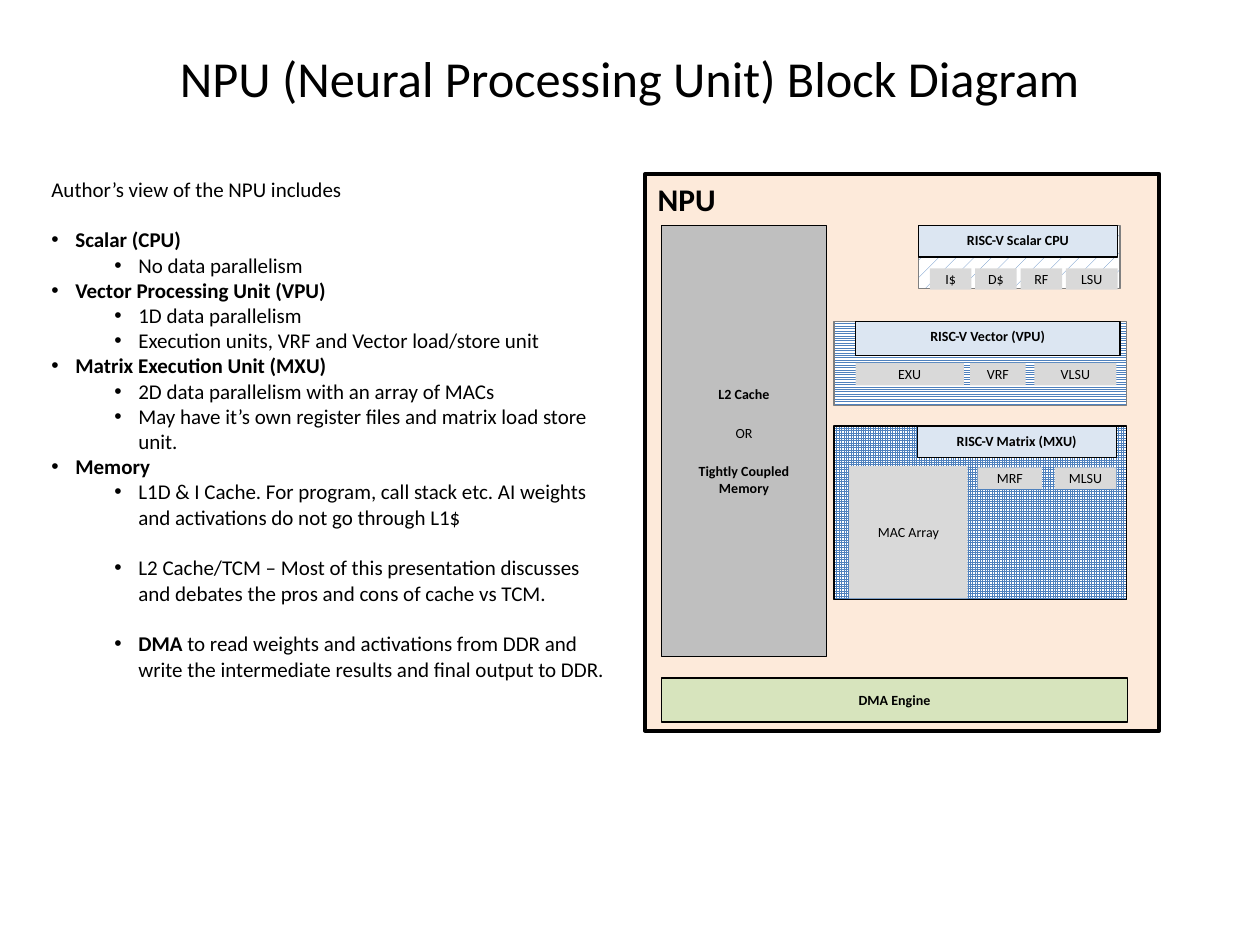
from dataclasses import dataclass
from typing import Optional

from lxml.etree import SubElement
from pptx import Presentation
from pptx.dml.color import RGBColor
from pptx.enum.dml import MSO_PATTERN_TYPE as Pattern
from pptx.enum.shapes import MSO_SHAPE as Shape
from pptx.enum.text import MSO_ANCHOR as Anchor, PP_ALIGN as Align
from pptx.oxml.ns import qn
from pptx.util import Inches, Pt

COLUMNS, ROWS = 1000, 750
PAGE_WIDTH, PAGE_HEIGHT = Inches(10), Inches(7.5)


@dataclass(frozen=True)
class Theme:
    font: str = "Calibri"
    ink: str = "000000"
    frame: str = "FDEADA"
    header: str = "DCE6F2"
    chip: str = "D9D9D9"
    memory: str = "BFBFBF"
    dma: str = "D7E4BD"
    hatch: str = "4F81BD"
    paper: str = "FFFFFF"
    soft_line: str = "808080"
    title_size: float = 28.8
    frame_size: float = 18
    body_size: float = 12
    label_size: float = 8
    thick: float = 2.25
    thin: float = 0.75


THEME = Theme()


@dataclass(frozen=True)
class Area:
    column: int
    row: int
    columns: int
    rows: int

    def place(self) -> tuple[int, int, int, int]:
        across, down = PAGE_WIDTH // COLUMNS, PAGE_HEIGHT // ROWS
        return (self.column * across, self.row * down,
                self.columns * across, self.rows * down)


@dataclass(frozen=True)
class Label:
    text: str
    size: float = THEME.label_size
    bold: bool = False
    align: Align = Align.CENTER
    before: float = 0


@dataclass(frozen=True)
class Chip:
    text: str
    column: int
    columns: int


@dataclass(frozen=True)
class Unit:
    name: str
    panel: Area
    pattern: Pattern
    line: str
    header: Area
    chip_row: int
    chip_rows: int
    chips: tuple[Chip, ...]


@dataclass(frozen=True)
class Point:
    text: str
    level: int = 0
    lead: str = ""
    after: float = 0


UNITS = (
    Unit("RISC-V Scalar CPU", Area(729, 179, 160, 50), Pattern.PERCENT_5, THEME.soft_line,
         Area(729, 179, 158, 25), 213, 17,
         (Chip("I$", 738, 33), Chip("D$", 774, 33), Chip("RF", 810, 33), Chip("LSU", 846, 41))),
    Unit("RISC-V Vector (VPU)", Area(662, 255, 232, 67), Pattern.LIGHT_HORIZONTAL, THEME.soft_line,
         Area(679, 255, 210, 27), 288, 18,
         (Chip("EXU", 679, 86), Chip("VRF", 770, 44), Chip("VLSU", 821, 65))),
    Unit("RISC-V Matrix (MXU)", Area(662, 338, 232, 138), Pattern.SMALL_GRID, THEME.ink,
         Area(728, 338, 158, 25), 371, 17,
         (Chip("MRF", 776, 51), Chip("MLSU", 837, 49))),
)

BLANK_LINE = 14.6
INTRO = "Author’s view of the NPU includes"
POINTS = (
    Point("", lead="Scalar (CPU)"),
    Point("No data parallelism", 1),
    Point("", lead="Vector Processing Unit (VPU)"),
    Point("1D data parallelism", 1),
    Point("Execution units, VRF and Vector load/store unit", 1),
    Point("", lead="Matrix Execution Unit (MXU)"),
    Point("2D data parallelism with an array of MACs", 1),
    Point("May have it’s own register files and matrix load store unit.", 1),
    Point("", lead="Memory"),
    Point("L1D & I Cache. For program, call stack etc. AI weights and activations "
          "do not go through L1$", 1, after=BLANK_LINE),
    Point("L2 Cache/TCM – Most of this presentation discusses and debates "
          "the pros and cons of cache vs TCM.", 1, after=BLANK_LINE),
    Point(" to read weights and activations from DDR and write the intermediate "
          "results and final output to DDR.", 1, lead="DMA"),
)


def color(value: str) -> RGBColor:
    return RGBColor.from_string(value)


def style(para, size: float, bold: bool = False) -> None:
    font = para.font
    font.name, font.size, font.bold = THEME.font, Pt(size), bold
    font.color.rgb = color(THEME.ink)


def write(frame, labels: tuple[Label, ...], anchor: Anchor) -> None:
    frame.word_wrap = True
    frame.vertical_anchor = anchor
    for index, label in enumerate(labels):
        para = frame.add_paragraph() if index else frame.paragraphs[0]
        para.alignment = label.align
        para.space_before = Pt(label.before)
        para.add_run().text = label.text
        style(para, label.size, label.bold)


def draw_block(page, area: Area, fill: str | Pattern, line: Optional[str] = None,
               labels: tuple[Label, ...] = (), anchor: Anchor = Anchor.MIDDLE,
               weight: float = THEME.thin, inset: bool = True) -> None:
    box = page.shapes.add_shape(Shape.RECTANGLE, *area.place())
    box.shadow.inherit = False
    if isinstance(fill, str):
        box.fill.solid()
        box.fill.fore_color.rgb = color(fill)
    else:
        box.fill.patterned()
        box.fill.pattern = fill
        box.fill.fore_color.rgb = color(THEME.hatch)
        box.fill.back_color.rgb = color(THEME.paper)
    if line:
        box.line.color.rgb = color(line)
        box.line.width = Pt(weight)
    else:
        box.line.fill.background()
    if not inset:
        box.text_frame.margin_left = box.text_frame.margin_right = 0
    write(box.text_frame, labels, anchor)


def draw_unit(page, unit: Unit) -> None:
    draw_block(page, unit.panel, unit.pattern, unit.line)
    draw_block(page, unit.header, THEME.header, THEME.ink,
               (Label(unit.name, bold=True),), Anchor.TOP)
    for chip in unit.chips:
        draw_block(page, Area(chip.column, unit.chip_row, chip.columns, unit.chip_rows),
                   THEME.chip, labels=(Label(chip.text),), inset=False)


def add_bullet(para, level: int) -> None:
    para.level = level
    properties = para._p.get_or_add_pPr()
    properties.set("marL", str(Inches(0.19 + 0.5 * level)))
    properties.set("indent", str(Inches(-0.19)))
    SubElement(properties, qn("a:buFont")).set("typeface", "Arial")
    SubElement(properties, qn("a:buChar")).set("char", "•")


def draw_points(page, area: Area) -> None:
    frame = page.shapes.add_textbox(*area.place()).text_frame
    write(frame, (Label(INTRO, THEME.body_size, align=Align.LEFT),), Anchor.TOP)
    frame.paragraphs[0].space_after = Pt(BLANK_LINE)
    for point in POINTS:
        para = frame.add_paragraph()
        para.space_after = Pt(point.after)
        add_bullet(para, point.level)
        style(para, THEME.body_size)
        for text, bold in ((point.lead, True), (point.text, False)):
            if text:
                span = para.add_run()
                span.text, span.font.bold = text, bold


def main() -> None:
    deck = Presentation()
    deck.slide_width, deck.slide_height = PAGE_WIDTH, PAGE_HEIGHT
    page = deck.slides.add_slide(deck.slide_layouts[6])
    title = page.shapes.add_textbox(*Area(50, 30, 900, 62).place())
    write(title.text_frame,
          (Label("NPU (Neural Processing Unit) Block Diagram", THEME.title_size),), Anchor.MIDDLE)
    draw_block(page, Area(512, 138, 408, 442), THEME.frame, THEME.ink,
               (Label("NPU", THEME.frame_size, True, Align.LEFT),), Anchor.TOP, THEME.thick)
    for unit in UNITS:
        draw_unit(page, unit)
    draw_block(page, Area(674, 370, 94, 105), THEME.chip, labels=(Label("MAC Array"),))
    draw_block(page, Area(525, 179, 131, 342), THEME.memory, THEME.ink,
               (Label("L2 Cache", bold=True), Label("OR", before=12.5),
                Label("Tightly Coupled Memory", bold=True, before=12.5)))
    draw_block(page, Area(525, 538, 370, 35), THEME.dma, THEME.ink,
               (Label("DMA Engine", bold=True),))
    draw_points(page, Area(31, 135, 460, 434))
    deck.save("out.pptx")


if __name__ == "__main__":
    main()
